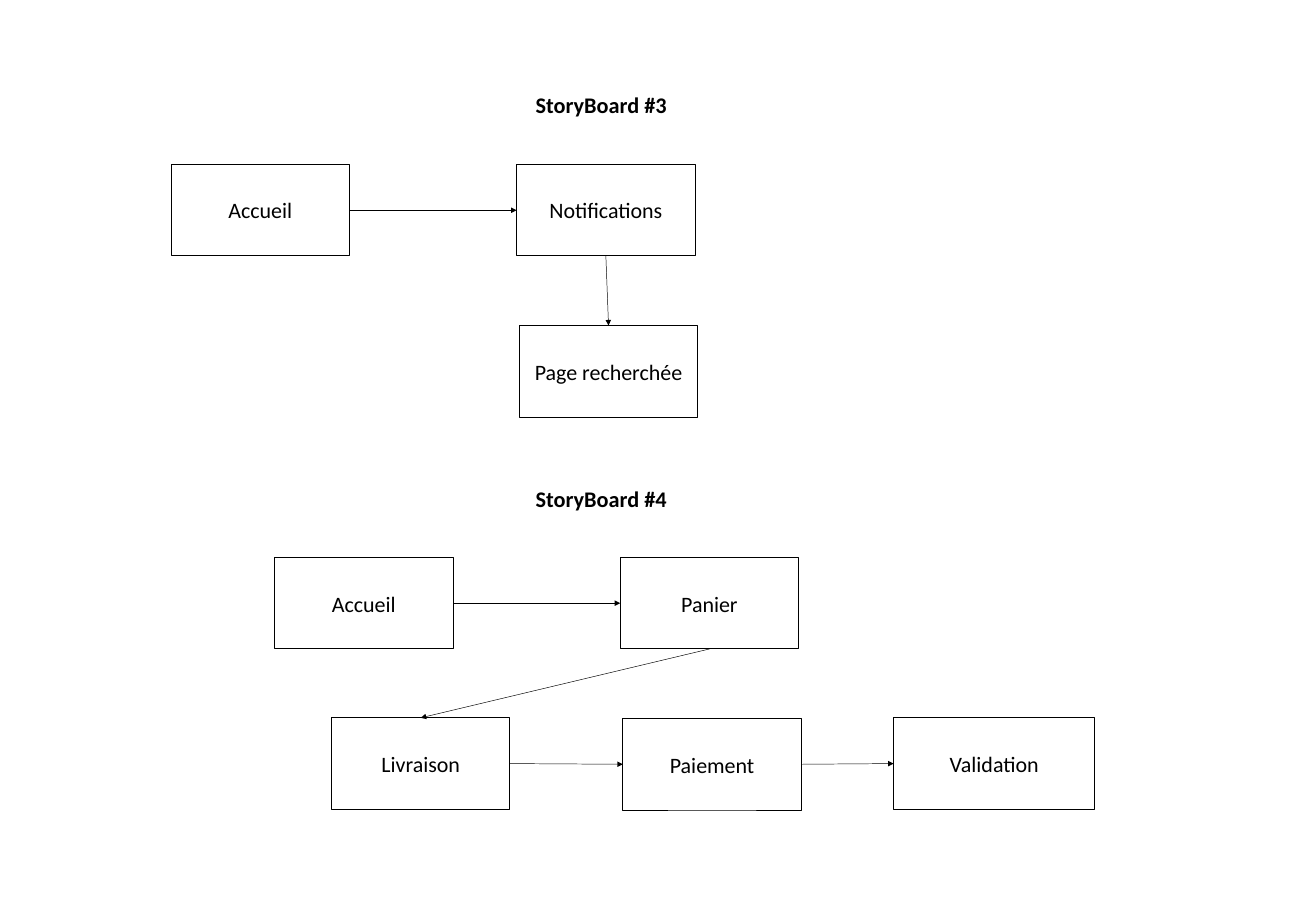
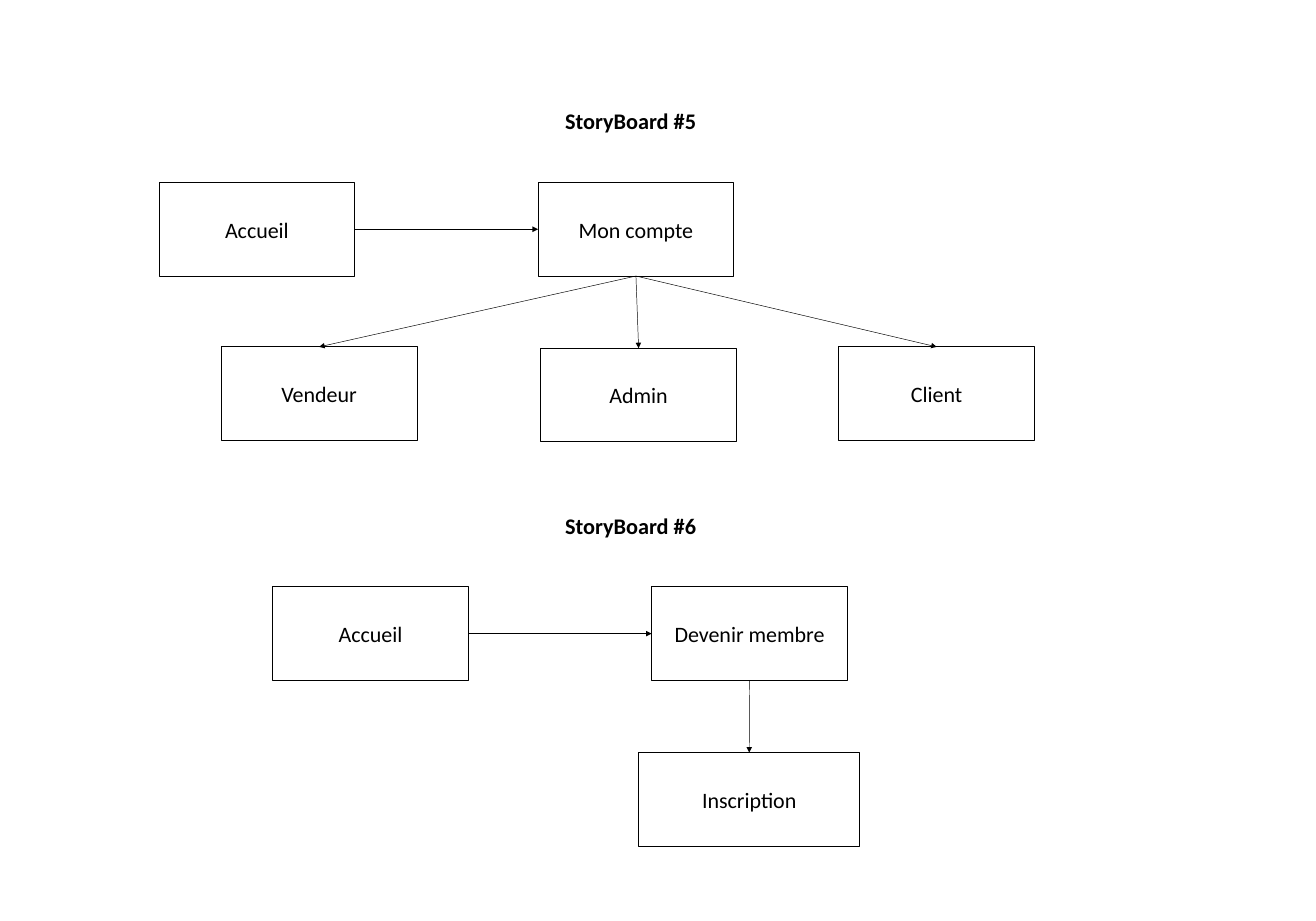
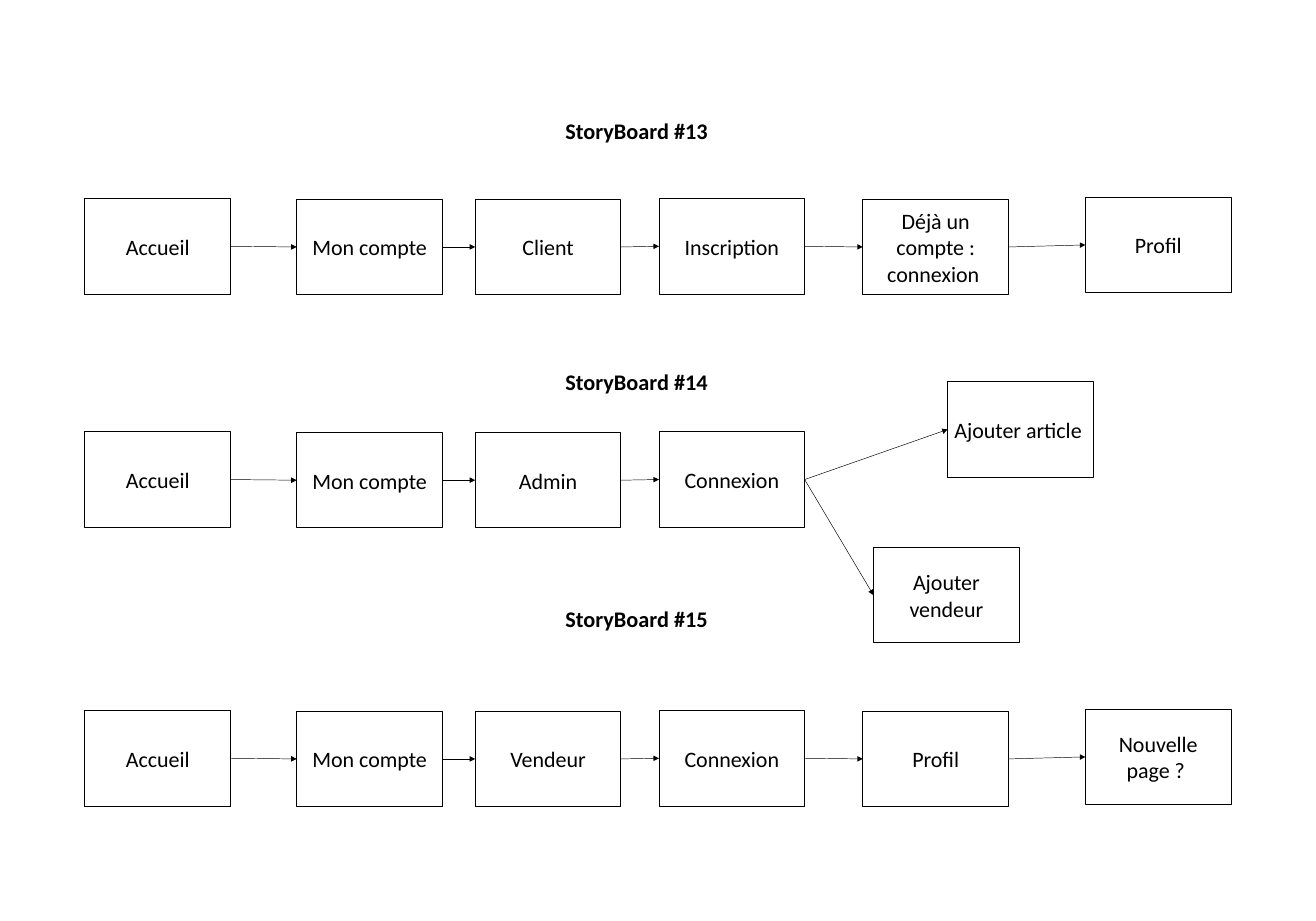
"""Build three slides of storyboard flow diagrams."""
from dataclasses import dataclass
from itertools import pairwise

from lxml.etree import SubElement
from pptx import Presentation
from pptx.dml.color import RGBColor
from pptx.enum.shapes import MSO_CONNECTOR, MSO_SHAPE
from pptx.enum.text import MSO_ANCHOR as ANCHOR, MSO_AUTO_SIZE as AUTO, PP_ALIGN as ALIGN
from pptx.oxml.ns import qn
from pptx.shapes.autoshape import Shape
from pptx.slide import Slide
from pptx.util import Inches, Pt


@dataclass(frozen=True)
class Theme:
    ink: RGBColor = RGBColor(0, 0, 0)
    paper: RGBColor = RGBColor(255, 255, 255)
    font: str = "Calibri"
    heading_size: float = 24
    box_size: float = 23.7
    border: float = 1
    arrow: float = 0.5
    heading_height: float = 0.5


@dataclass(frozen=True)
class Box:
    label: str
    left: float
    top: float
    width: float | None = None


@dataclass(frozen=True)
class Link:
    start: str
    end: str
    down: bool = False


@dataclass(frozen=True)
class Board:
    number: int
    top: float
    boxes: list[Box]
    links: list[Link]


@dataclass(frozen=True)
class Page:
    heading_left: float
    heading_width: float
    box_width: float
    box_height: float
    boards: list[Board]


THEME = Theme()
COLUMNS = [(1.27, 0), (4.44, 0.01), (7.11, 0.01), (9.86, 0), (12.91, 0.01), (16.24, -0.02)]


def row(top: float, *labels: str) -> list[Box]:
    """Place labels on the shared columns."""
    return [Box(label, left, top + shift) for label, (left, shift) in zip(labels, COLUMNS)]


def chain(*labels: str) -> list[Link]:
    """Link each label to the next, left to right."""
    return [Link(a, b) for a, b in pairwise(labels)]


def fan(start: str, *ends: str) -> list[Link]:
    """Link one label down to several."""
    return [Link(start, end, down=True) for end in ends]


def write(s: Shape, text: str, size: float, bold: bool = False) -> None:
    """Set the centred text of a shape."""
    tf = s.text_frame
    tf.word_wrap = True
    tf.text = text
    p = tf.paragraphs[0]
    p.alignment = ALIGN.CENTER
    p.line_spacing = 1.0
    font = p.runs[0].font
    font.name, font.size, font.bold = THEME.font, Pt(size), bold
    font.color.rgb = THEME.ink


def add_heading(slide: Slide, page: Page, board: Board, is_title: bool) -> None:
    """Fill the title placeholder, or add a text box styled alike."""
    frame = [Inches(v) for v in
             (page.heading_left, board.top, page.heading_width, THEME.heading_height)]
    if is_title:
        s = slide.shapes.title
        s.left, s.top, s.width, s.height = frame
    else:
        s = slide.shapes.add_textbox(*frame)
    write(s, f"StoryBoard #{board.number}", THEME.heading_size, bold=True)
    s.text_frame.vertical_anchor = ANCHOR.TOP
    s.text_frame.auto_size = AUTO.SHAPE_TO_FIT_TEXT


def add_box(slide: Slide, page: Page, box: Box) -> Shape:
    """Draw one bordered box."""
    s = slide.shapes.add_shape(
        MSO_SHAPE.RECTANGLE, Inches(box.left), Inches(box.top),
        Inches(box.width or page.box_width), Inches(page.box_height))
    s.shadow.inherit = False
    s.fill.solid()
    s.fill.fore_color.rgb = THEME.paper
    s.line.color.rgb = THEME.ink
    s.line.width = Pt(THEME.border)
    write(s, box.label, THEME.box_size)
    s.text_frame.vertical_anchor = ANCHOR.MIDDLE
    return s


def add_arrow(slide: Slide, start: Shape, end: Shape, down: bool) -> None:
    """Connect two boxes with an arrow."""
    s = slide.shapes.add_connector(MSO_CONNECTOR.STRAIGHT, 0, 0, 0, 0)
    s.begin_connect(start, 2 if down else 3)
    s.end_connect(end, 0 if down else 1)
    s.line.color.rgb = THEME.ink
    s.line.width = Pt(THEME.arrow)
    sp_pr = s._element.spPr
    SubElement(sp_pr.find(qn("a:ln")), qn("a:tailEnd"), type="triangle")
    SubElement(sp_pr, qn("a:effectLst"))


def add_page(slide: Slide, page: Page) -> None:
    """Draw all storyboards of a page."""
    for i, board in enumerate(page.boards):
        add_heading(slide, page, board, is_title=i == 0)
        shapes = {box.label: add_box(slide, page, box) for box in board.boxes}
        for link in board.links:
            add_arrow(slide, shapes[link.start], shapes[link.end], link.down)


SIGN_UP = ("Accueil", "Mon compte", "Client", "Inscription",
           "Déjà un compte : connexion ", "Profil")
ADMIN = ("Accueil", "Mon compte", "Admin", "Connexion")
SELLER = ("Accueil", "Mon compte", "Vendeur", "Connexion", "Profil", "Nouvelle page ? ")

PAGES = [
    Page(4.6, 8.79, 2.67, 1.37, [
        Board(3, 1.32,
              [Box("Accueil", 2.56, 2.46), Box("Notifications", 7.73, 2.46),
               Box("Page recherchée", 7.77, 4.87)],
              chain("Accueil", "Notifications") + fan("Notifications", "Page recherchée")),
        Board(4, 7.21,
              [Box("Accueil", 4.11, 8.34), Box("Panier", 9.28, 8.34),
               Box("Livraison", 4.96, 10.74), Box("Paiement", 9.32, 10.75),
               Box("Validation", 13.37, 10.74, 3.01)],
              chain("Accueil", "Panier") + fan("Panier", "Livraison")
              + chain("Livraison", "Paiement", "Validation")),
    ]),
    Page(4.62, 9.63, 2.93, 1.4, [
        Board(5, 1.56,
              [Box("Accueil", 2.38, 2.73), Box("Mon compte", 8.05, 2.73),
               Box("Vendeur", 3.31, 5.19), Box("Admin", 8.09, 5.21),
               Box("Client", 12.55, 5.19)],
              chain("Accueil", "Mon compte")
              + fan("Mon compte", "Vendeur", "Admin", "Client")),
        Board(6, 7.61,
              [Box("Accueil", 4.08, 8.78), Box("Devenir membre", 9.75, 8.78),
               Box("Inscription", 9.56, 11.26, 3.3)],
              chain("Accueil", "Devenir membre") + fan("Devenir membre", "Inscription")),
    ]),
    Page(5.94, 7.17, 2.18, 1.43, [
        Board(13, 1.7, row(2.97, *SIGN_UP), chain(*SIGN_UP)),
        Board(14, 5.46,
              row(6.46, *ADMIN) + [Box("Ajouter article ", 14.18, 5.71),
                                   Box("Ajouter vendeur", 13.07, 8.19)],
              chain(*ADMIN) + [Link("Connexion", "Ajouter article "),
                               Link("Connexion", "Ajouter vendeur")]),
        Board(15, 9.01, row(10.63, *SELLER), chain(*SELLER)),
    ]),
]


def main() -> None:
    """Build and save the presentation."""
    prs = Presentation()
    prs.slide_width, prs.slide_height = Inches(19.69), Inches(13.78)
    for page in PAGES:
        add_page(prs.slides.add_slide(prs.slide_layouts[5]), page)
    prs.save("out.pptx")


main()
